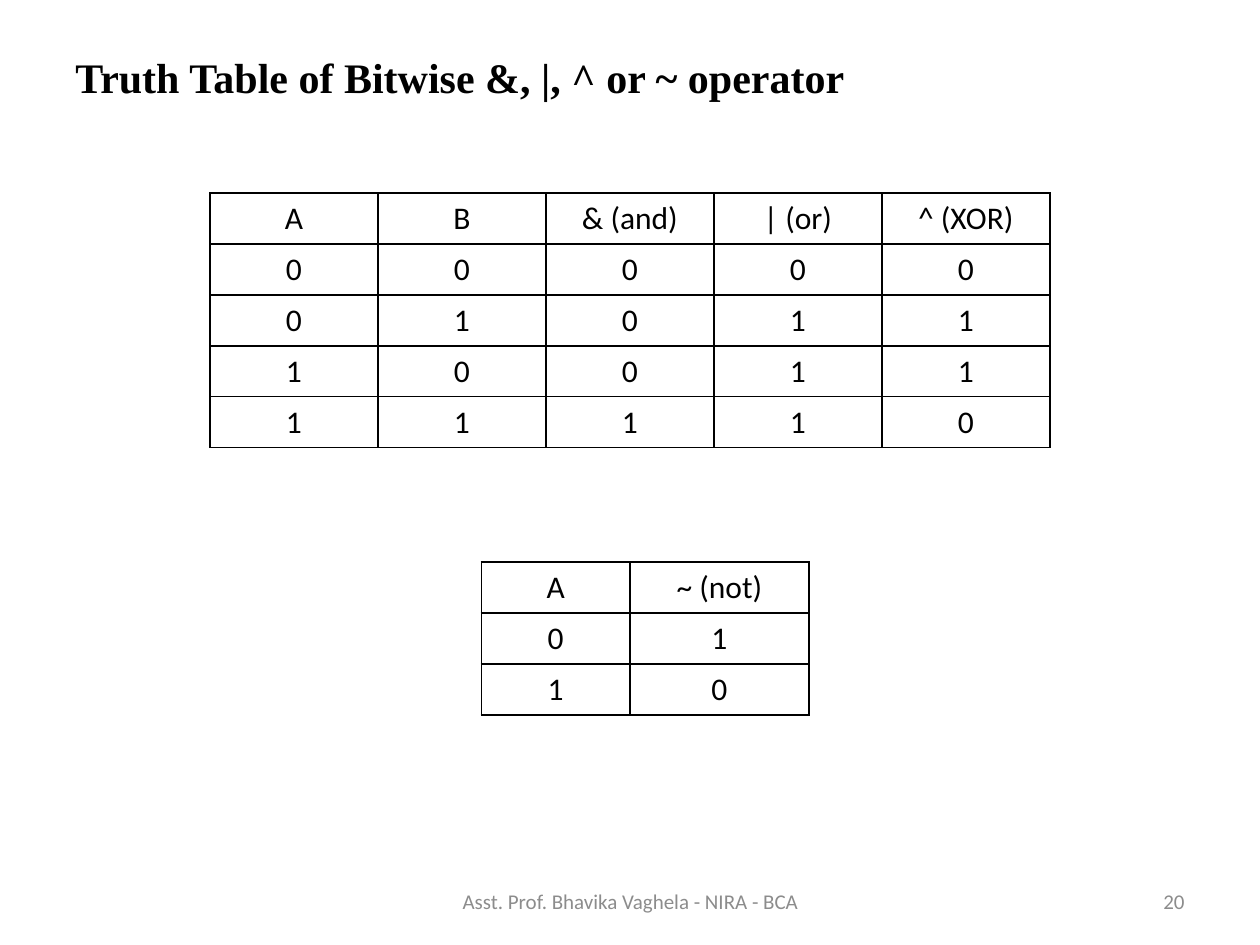
from lxml.etree import SubElement as Sub
from pptx import Presentation
from pptx.dml.color import RGBColor as RGB
from pptx.enum.text import MSO_ANCHOR as Anchor, PP_ALIGN as Align
from pptx.oxml.ns import qn
from pptx.util import Inches, Pt

WIDE, HIGH = 10, 7.5
ROW = 0.405
HEAD = dict(name="Times New Roman", size=Pt(24), bold=True)
BODY = dict(name="Calibri", size=Pt(18), bold=False)
FOOT = dict(name="Calibri", size=Pt(12), bold=False)

TEXTS = [
    ("Truth Table of Bitwise &, |, ^ or ~ operator", (0.5, 0.36, 9.22, 6.69),
     HEAD, "000000", Align.LEFT, Anchor.TOP, 4),
    ("Asst. Prof. Bhavika Vaghela - NIRA - BCA", (3.42, 6.95, 3.17, 0.4),
     FOOT, "8C8C8C", Align.CENTER, Anchor.MIDDLE, 0),
    ("20", (7.17, 6.95, 2.33, 0.4),
     FOOT, "8C8C8C", Align.RIGHT, Anchor.MIDDLE, 0),
]

PAIRS = [(a, b) for a in (0, 1) for b in (0, 1)]
TABLES = [
    (WIDE / 6, 1.53, [WIDE * 2 / 15] * 5,
     [("A", "B", "& (and)", "| (or)", "^ (XOR)")]
     + [(a, b, a & b, a | b, a ^ b) for a, b in PAIRS]),
    (3.82, 4.46, [1.18, 1.42],
     [("A", "~ (not)")] + [(a, 1 - a) for a in (0, 1)]),
]


def color(code):
    return RGB.from_string(code)


def write(frame, text, form, code, align, gap=0):
    para = frame.paragraphs[0]
    para.alignment = align
    para.space_before = Pt(gap)
    run = para.add_run()
    run.text = str(text)
    for key, val in form.items():
        setattr(run.font, key, val)
    run.font.color.rgb = color(code)


def border(cell, code="000000", width=Pt(1)):
    props = cell._tc.get_or_add_tcPr()
    for side in ("lnL", "lnR", "lnT", "lnB"):
        line = Sub(props, qn(f"a:{side}"), w=str(width))
        fill = Sub(line, qn("a:solidFill"))
        Sub(fill, qn("a:srgbClr"), val=code)


def label(slide, text, box, form, code, align, anchor, gap):
    frame = slide.shapes.add_textbox(*map(Inches, box)).text_frame
    frame.word_wrap = True
    frame.vertical_anchor = anchor
    write(frame, text, form, code, align, gap)


def grid(slide, left, top, cols, rows):
    box = map(Inches, (left, top, sum(cols), ROW * len(rows)))
    table = slide.shapes.add_table(len(rows), len(cols), *box).table
    table.first_row = table.horz_banding = False
    for col, width in zip(table.columns, cols):
        col.width = Inches(width)
    for r, row in enumerate(rows):
        for c, text in enumerate(row):
            cell = table.cell(r, c)
            border(cell)
            cell.fill.background()
            write(cell.text_frame, text, BODY, "000000", Align.CENTER)


def main():
    deck = Presentation()
    deck.slide_width, deck.slide_height = Inches(WIDE), Inches(HIGH)
    slide = deck.slides.add_slide(deck.slide_layouts[6])
    for item in TEXTS:
        label(slide, *item)
    for item in TABLES:
        grid(slide, *item)
    deck.save("out.pptx")


if __name__ == "__main__":
    main()
